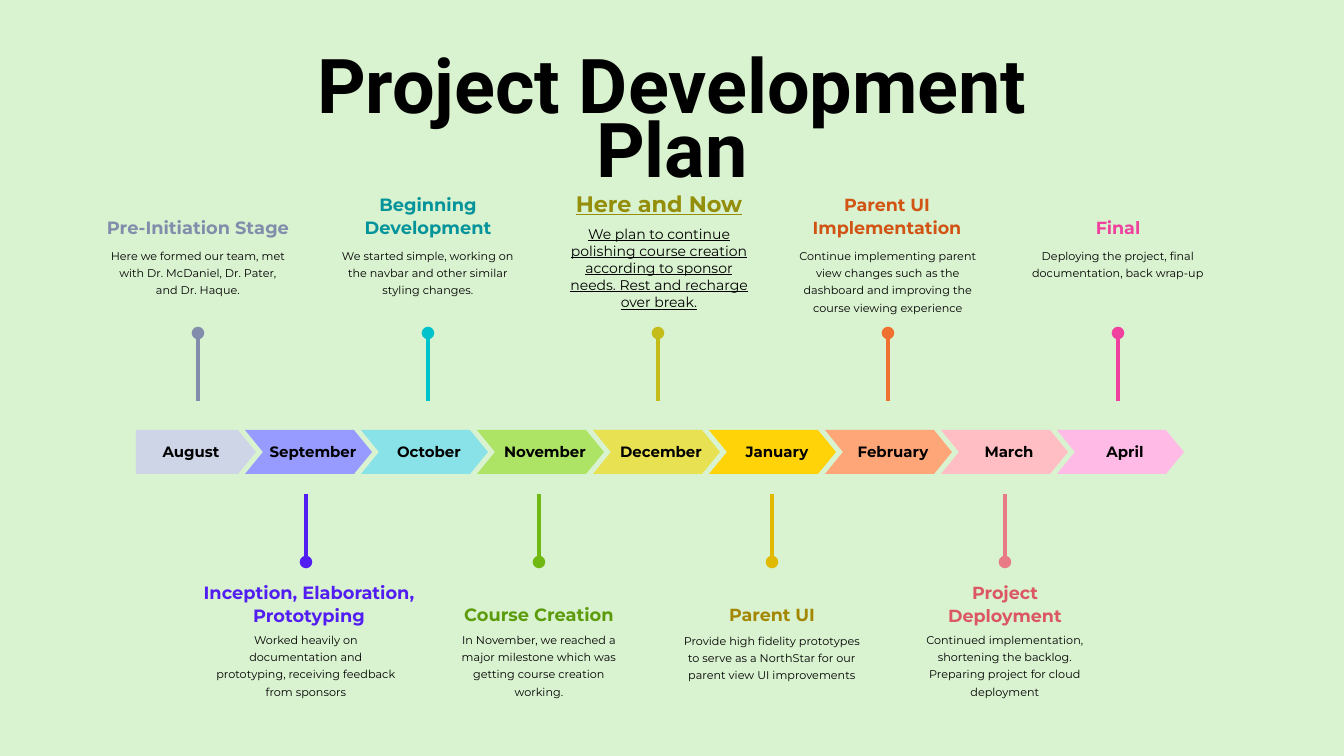
from lxml.etree import SubElement
from pptx import Presentation
from pptx.dml.color import RGBColor
from pptx.enum.shapes import MSO_CONNECTOR
from pptx.enum.text import MSO_ANCHOR, MSO_AUTO_SIZE, PP_ALIGN
from pptx.oxml.ns import qn
from pptx.util import Emu, Pt

PX = 914400 / 100.8
BLACK = RGBColor(0x00, 0x00, 0x00)
MINT = RGBColor(0xD9, 0xF2, 0xD0)
SLATE = RGBColor(0x81, 0x8D, 0xAB)
AQUA = RGBColor(0x00, 0xC2, 0xCB)
TEAL = RGBColor(0x03, 0x94, 0x9B)
OLIVE = RGBColor(0xC4, 0xBD, 0x19)
MOSS = RGBColor(0x94, 0x8E, 0x0A)
ORANGE = RGBColor(0xF0, 0x70, 0x2F)
RUST = RGBColor(0xD1, 0x54, 0x14)
PINK = RGBColor(0xF0, 0x41, 0x9F)
VIOLET = RGBColor(0x52, 0x1D, 0xF1)
GREEN = RGBColor(0x70, 0xB8, 0x12)
FERN = RGBColor(0x5C, 0x9B, 0x0A)
GOLD = RGBColor(0xE1, 0xB9, 0x00)
BRONZE = RGBColor(0xA4, 0x87, 0x01)
ROSE = RGBColor(0xE8, 0x7B, 0x85)
RED = RGBColor(0xDB, 0x57, 0x63)

MONTHS = [
    ("August", RGBColor(0xCE, 0xD5, 0xE6)),
    ("September", RGBColor(0x97, 0x9B, 0xFF)),
    ("October", RGBColor(0x89, 0xE2, 0xE8)),
    ("November", RGBColor(0xAD, 0xE4, 0x66)),
    ("December", RGBColor(0xE8, 0xE2, 0x52)),
    ("January", RGBColor(0xFF, 0xD3, 0x08)),
    ("February", RGBColor(0xFF, 0xA6, 0x78)),
    ("March", RGBColor(0xFF, 0xBE, 0xC4)),
    ("April", RGBColor(0xFF, 0xBB, 0xE6)),
]

# head, size, colour, top, rows, width, shift; body, size, top, rows; pin colour
UPPER = [
    ("Pre-Initiation Stage", 12.7, SLATE, 215, 1, 184, 0,
     "Here we formed our team, met with Dr. McDaniel, Dr. Pater, and Dr. Haque.",
     8, 246, 3, SLATE),
    ("Beginning Development", 12.7, TEAL, 192, 2, 184, 0,
     "We started simple, working on the navbar and other similar styling changes.",
     8, 246, 3, AQUA),
    ("Here and Now", 16, MOSS, 194, 1, 184, 1,
     "We plan to continue polishing course creation according to sponsor needs. "
     "Rest and recharge over break.",
     10, 225, 5, OLIVE),
    ("Parent UI Implementation", 12.5, RUST, 192, 2, 184, -1,
     "Continue implementing parent view changes such as the dashboard and "
     "improving the course viewing experience",
     8, 246, 4, ORANGE),
    ("Final", 12.5, PINK, 215, 1, 184, 0,
     "Deploying the project, final documentation, back wrap-up",
     8, 246, 2, PINK),
]
LOWER = [
    ("Inception, Elaboration, Prototyping", 12.7, VIOLET, 580, 2, 233, 3,
     "Worked heavily on documentation and prototyping, receiving feedback "
     "from sponsors",
     8, 630, 4, VIOLET),
    ("Course Creation", 12.7, FERN, 602, 1, 184, 0,
     "In November, we reached a major milestone which was getting course "
     "creation working.",
     8, 630, 4, GREEN),
    ("Parent UI", 12.5, BRONZE, 602, 1, 184, 0,
     "Provide high fidelity prototypes to serve as a NorthStar for "
     "our parent view UI improvements",
     8, 631, 4, GOLD),
    ("Project Deployment", 12.5, RED, 580, 2, 160, 0,
     "Continued implementation, shortening the backlog. Preparing project for "
     "cloud deployment",
     8, 630, 4, ROSE),
]


def px(num):
    return Emu(round(num * PX))


def put(text, x, y, w, h, size, lead, color=BLACK, font="Montserrat",
        bold=False, under=False, pad=0, mid=False):
    box = slide.shapes.add_textbox(px(x), px(y), px(w), px(h))
    frame = box.text_frame
    frame.word_wrap = True
    frame.auto_size = MSO_AUTO_SIZE.NONE if mid else MSO_AUTO_SIZE.SHAPE_TO_FIT_TEXT
    frame.vertical_anchor = MSO_ANCHOR.MIDDLE if mid else MSO_ANCHOR.TOP
    frame.margin_left = frame.margin_right = px(pad)
    frame.margin_top = frame.margin_bottom = px(pad)
    para = frame.paragraphs[0]
    para.alignment = PP_ALIGN.CENTER
    para.line_spacing = Pt(lead)
    run = para.add_run()
    run.text = text
    run.font.name = font
    run.font.size = Pt(size)
    run.font.bold = bold
    run.font.underline = under
    run.font.color.rgb = color


deck = Presentation()
deck.slide_width, deck.slide_height = px(1344), px(756)
slide = deck.slides.add_slide(deck.slide_layouts[6])
slide.background.fill.solid()
slide.background.fill.fore_color.rgb = MINT

for i, (month, fill) in enumerate(MONTHS):
    left = 129 + 116 * i
    first = i == 0
    start = 136 if first else left
    edge = [(left + 109, 430), (left + 127, 452), (left + 109, 474), (start, 474)]
    if not first:
        edge.append((left + 18, 452))
    path = slide.shapes.build_freeform(start, 430, scale=PX)
    path.add_line_segments(edge, close=True)
    arrow = path.convert_to_shape()
    arrow.shadow.inherit = False
    arrow.fill.solid()
    arrow.fill.fore_color.rgb = fill
    arrow.line.fill.background()
    put(month, 136 if first else left + 16, 427, 110 if first else 104, 47,
        10.7, 14.9, bold=True, pad=4, mid=True)

for cards, origin, step, base, tip in (
    (UPPER, 198, 230, 401, 333),
    (LOWER, 306, 233, 494, 562),
):
    for i, card in enumerate(cards):
        (head, size, color, top, rows, wide, shift,
         body, small, low, count, tint) = card
        x = origin + step * i
        under = head == "Here and Now"
        pin = slide.shapes.add_connector(
            MSO_CONNECTOR.STRAIGHT, px(x), px(base), px(x), px(tip))
        pin.line.color.rgb = tint
        pin.line.width = Pt(3)
        SubElement(pin.line._get_or_add_ln(), qn("a:tailEnd"), type="oval")
        SubElement(pin._element.spPr, qn("a:effectLst"))
        put(body, x - 91 + under, low, 182, 17 * count, small, 12.2, under=under)
        put(head, x - wide / 2 + shift, top, wide, 23 * rows - 1, size, 16.3,
            color=color, bold=True, under=under)

put("Project Development Plan", 252, 65, 840, 127, 54, 45.7,
    font="Roboto", bold=True)

deck.save("out.pptx")
